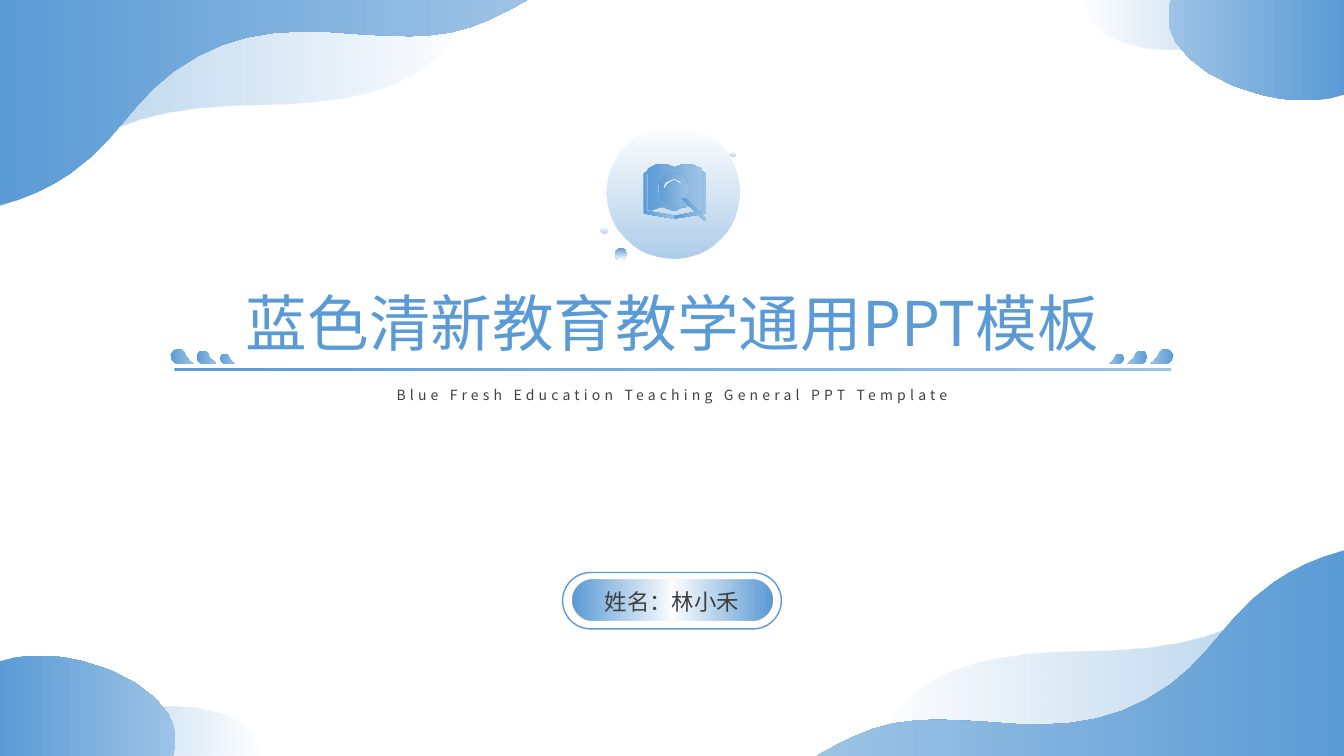
import math

import pptx
import pptx.dml.color
import pptx.enum.shapes
import pptx.enum.text
import pptx.oxml.ns
import pptx.util
from lxml import etree

PX = 9144  # EMU per px, 100 px to the inch
WIDTH, HEIGHT = 1333, 750
FONT = "Noto Sans CJK SC"

BLUE = pptx.dml.color.RGBColor(0x5B, 0x9B, 0xD5)
PALE_BLUE = pptx.dml.color.RGBColor(0x9D, 0xC3, 0xE6)
WHITE = pptx.dml.color.RGBColor(0xFF, 0xFF, 0xFF)
GREY = pptx.dml.color.RGBColor(0x40, 0x40, 0x40)

# Gradient stops: position, colour, opacity in percent
SOLID = [(0, BLUE, 100), (1, PALE_BLUE, 100)]
FADE = [(0, BLUE, 50), (0.99, BLUE, 0)]
BUBBLE = [(0, BLUE, 0), (1, BLUE, 50)]
DOT = [(0, BLUE, 100), (1, WHITE, 100)]
PILL = [(0, BLUE, 100), (0.8, BLUE, 0)]

TITLE = "蓝色清新教育教学通用PPT模板"
SUBTITLE = "Blue Fresh Education Teaching General PPT Template"
PRESENTER = "姓名：林小禾"

# Outlines: a pair is a straight corner, six numbers are a Bezier curve
CORNERS = [
    (FADE, [(0, 0), (0, 200), (15, 196, 30, 189, 44, 175), (104, 117, 167, 105, 263, 104),
            (310, 103, 375, 98, 412, 73), (440, 55, 459, 27, 468, 0)]),
    (SOLID, [(0, 0), (0, 204), (26, 197, 50, 186, 70, 172), (116, 140, 129, 103, 172, 71),
             (229, 30, 282, 27, 358, 34), (378, 35, 402, 37, 425, 35), (463, 33, 493, 17, 523, 0)]),
    (FADE, [(259, 746), (253, 712, 199, 693, 139, 704), (100, 711, 68, 729, 52, 750), (259, 750)]),
    (SOLID, [(82, 656), (51, 648, 22, 649, 0, 656), (0, 750), (171, 750), (174, 742),
             (182, 709, 141, 670, 82, 656)]),
]
DROPS = [
    [(175, 361), (171, 360, 169, 356, 169, 352), (170, 348, 174, 346, 179, 346),
     (183, 346, 182, 351, 185, 354), (187, 358, 191, 360, 192, 361)],
    [(200, 361), (197, 360, 194, 357, 195, 353), (195, 349, 199, 348, 203, 348),
     (207, 348, 206, 352, 208, 355), (211, 358, 214, 360, 215, 361)],
    [(223, 361), (220, 361, 218, 358, 218, 355), (218, 352, 221, 351, 224, 351),
     (227, 351, 226, 354, 228, 356), (230, 359, 232, 361, 233, 361)],
]
RULE = [(173, 365), (1161, 365), (1161, 368), (173, 368)]

BUBBLES = [  # left, top, diameter, gradient
    (602, 125, 131, BUBBLE), (724, 150, 5, BUBBLE), (610, 246, 12, DOT), (596, 225, 7, BUBBLE),
]
BOOK_AXIS = 669
BOOK_COVER = [(669, 217), (639, 212), (638, 211), (638, 172), (643, 169), (645, 170),
              (641, 173), (641, 209), (669, 214), (670, 216)]
BOOK_PAGES = [(678, 200), (675, 202, 672, 203, 668, 203), (664, 203, 660, 202, 657, 199),
              (654, 196, 652, 192, 652, 187), (652, 183, 654, 179, 657, 176),
              (660, 173, 664, 171, 668, 171), (672, 171, 676, 173, 679, 176),
              (685, 182, 686, 191, 681, 197), (691, 207), (694, 209), (696, 208), (696, 168),
              (695, 167), (687, 161, 677, 161, 669, 166), (661, 161, 651, 161, 643, 167),
              (642, 168), (642, 208), (645, 209), (652, 204, 661, 204, 668, 209),
              (670, 209), (674, 206, 678, 205, 683, 205)]
LENS = [(679, 177), (676, 174, 672, 172, 668, 172), (664, 172, 660, 174, 657, 177),
        (654, 179, 653, 183, 653, 187), (653, 191, 654, 195, 657, 198),
        (660, 201, 664, 203, 668, 203), (672, 203, 676, 201, 679, 198),
        (685, 192, 685, 182, 679, 177)]
GLINT = [(676, 182), (674, 182), (671, 178, 666, 178, 663, 182), (660, 186), (659, 187),
         (658, 186), (658, 184, 659, 181, 661, 180), (665, 176, 672, 176, 676, 180)]
HANDLE = [(699, 219), (698, 219), (677, 198), (676, 197), (677, 196), (679, 196),
          (700, 217), (700, 219)]

PILL_HALVES = [(568, 0), (641, 180)]  # left, gradient angle
PILL_RING = (558, 568, 217, 56)


def emu(*lengths):
    return [round(length * PX) for length in lengths]


def flatten(outline):
    """Turn curves into short straight steps, more of them on longer curves."""
    points = [outline[0]]
    for segment in outline[1:]:
        if len(segment) == 2:
            points.append(segment)
            continue
        controls = [points[-1], segment[:2], segment[2:4], segment[4:]]
        steps = max(2, round(math.sqrt(math.dist(controls[0], controls[3])) / 2))
        for step in range(1, steps + 1):
            t = step / steps
            weights = [(1 - t) ** 3, 3 * t * (1 - t) ** 2, 3 * t * t * (1 - t), t ** 3]
            points.append(tuple(sum(w * c[axis] for w, c in zip(weights, controls))
                                for axis in (0, 1)))
    return [tuple(emu(*point)) for point in points]


def mirror(outline, across=0, down=0):
    """Reflect the outline within the given total width and height; 0 leaves an axis alone."""
    sums = (across, down)
    return [tuple(sums[i % 2] - value if sums[i % 2] else value
                  for i, value in enumerate(segment)) for segment in outline]


def paint(shape, stops, angle=0):
    shape.shadow.inherit = False
    shape.line.fill.background()
    shape.fill.gradient()
    shape.fill.gradient_angle = angle
    for stop, (position, color, opacity) in zip(shape.fill.gradient_stops, stops):
        stop.position = position
        stop.color.rgb = color
    tints = shape._element.spPr.iter(pptx.oxml.ns.qn("a:srgbClr"))
    for tint, (position, color, opacity) in zip(tints, stops):
        if opacity < 100:
            etree.SubElement(tint, pptx.oxml.ns.qn("a:alpha"), val=str(opacity * 1000))


def draw(outlines, stops=SOLID, angle=0):
    first, *holes = [flatten(outline) for outline in outlines]
    builder = slide.shapes.build_freeform(*first[0], scale=1.0)
    builder.add_line_segments(first[1:], close=True)
    for hole in holes:
        builder.move_to(*hole[0])
        builder.add_line_segments(hole[1:], close=True)
    paint(builder.convert_to_shape(), stops, angle)


def write(box, area, text, size, color, spacing=0):
    box.left, box.top, box.width, box.height = emu(*area)
    frame = box.text_frame
    frame_format = {"word_wrap": True, "auto_size": pptx.enum.text.MSO_AUTO_SIZE.NONE,
                    "vertical_anchor": pptx.enum.text.MSO_ANCHOR.MIDDLE,
                    "margin_top": 0, "margin_bottom": 0}
    for name, value in frame_format.items():
        setattr(frame, name, value)
    para = frame.paragraphs[0]
    para_format = {"alignment": pptx.enum.text.PP_ALIGN.CENTER, "line_spacing": 1.0,
                   "space_before": pptx.util.Pt(0)}
    for name, value in para_format.items():
        setattr(para, name, value)
    span = para.add_run()
    span.text = text
    span.font.size, span.font.name = pptx.util.Pt(size), FONT
    span.font.color.rgb = color
    properties = span.font._element
    etree.SubElement(properties, pptx.oxml.ns.qn("a:ea"), typeface=FONT)
    if spacing:
        properties.set("spc", str(spacing * 100))


deck = pptx.Presentation()
deck.slide_width, deck.slide_height = emu(WIDTH, HEIGHT)
slide = deck.slides.add_slide(deck.slide_layouts[0])
kinds = pptx.enum.shapes.MSO_SHAPE

for stops, outline in CORNERS:
    draw([outline], stops)
    draw([mirror(outline, WIDTH, HEIGHT)], stops, 180)

for left, top, diameter, stops in BUBBLES:
    bubble = slide.shapes.add_shape(kinds.OVAL, *emu(left, top, diameter, diameter))
    paint(bubble, stops, 270)

for outlines in ([BOOK_COVER], [mirror(BOOK_COVER, 2 * BOOK_AXIS)], [BOOK_PAGES],
                 [LENS, GLINT], [HANDLE], [RULE]):
    draw(outlines)

for drop in DROPS:
    draw([drop])
    draw([mirror(drop, WIDTH)], angle=180)

for left, angle in PILL_HALVES:
    half = slide.shapes.add_shape(kinds.ROUNDED_RECTANGLE, *emu(left, 575, 125, 41))
    half.adjustments[0] = 0.5
    paint(half, PILL, angle)
ring = slide.shapes.add_shape(kinds.ROUNDED_RECTANGLE, *emu(*PILL_RING))
ring.adjustments[0] = 0.5
ring.shadow.inherit = False
ring.fill.background()
ring.line.color.rgb, ring.line.width = BLUE, pptx.util.Pt(1)

write(slide.shapes.title, (188, 277, 958, 84), TITLE, 44, BLUE)
write(slide.placeholders[1], (333, 378, 667, 27), SUBTITLE, 10, GREY, spacing=3)
write(slide.shapes.add_textbox(0, 0, 0, 0), (544, 578, 245, 37), PRESENTER, 16, GREY)

deck.save("out.pptx")
